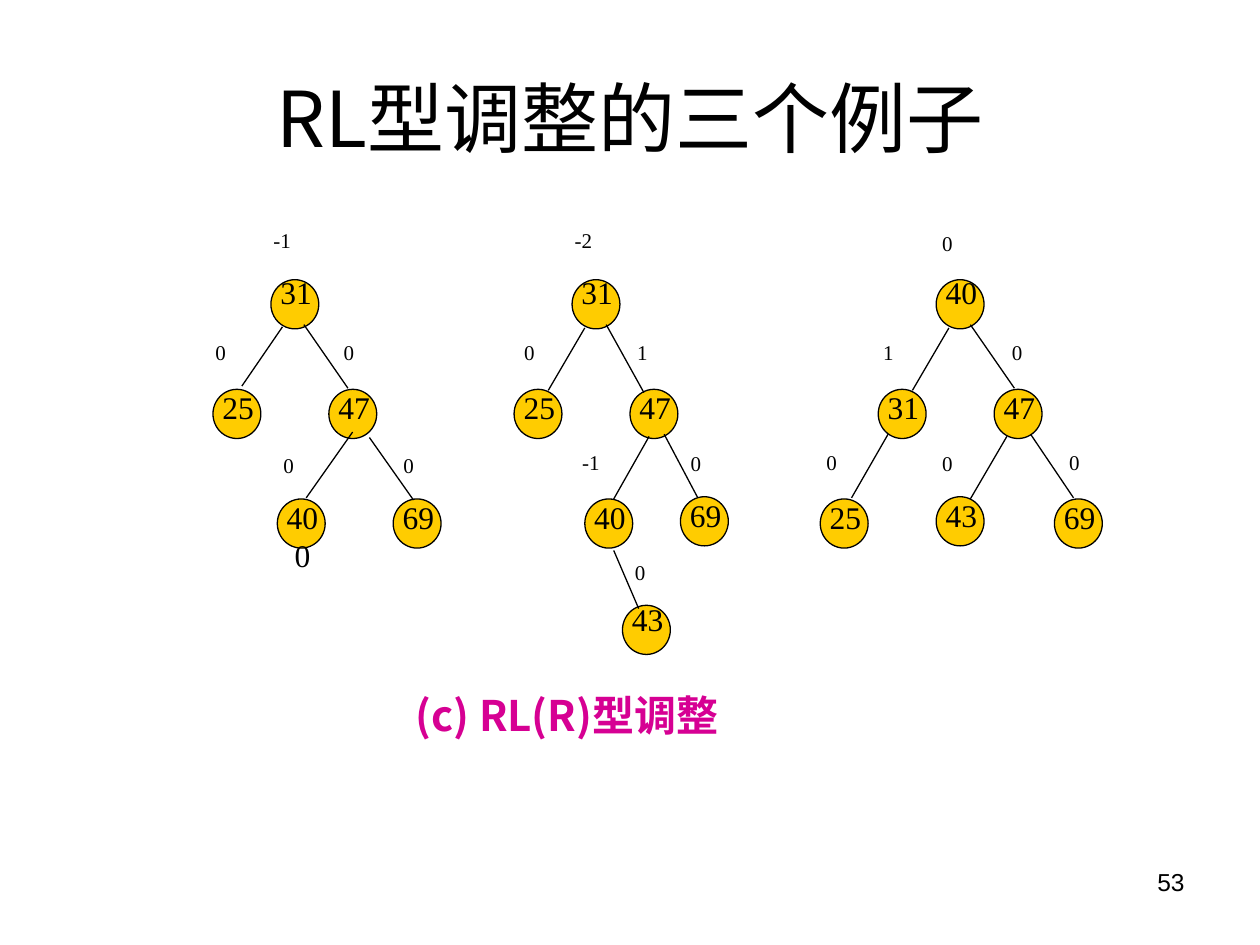
from dataclasses import dataclass
from typing import Optional

from lxml.etree import SubElement
from pptx import Presentation
from pptx.dml.color import RGBColor
from pptx.enum.shapes import MSO_CONNECTOR as Connector, MSO_SHAPE as Shape
from pptx.enum.text import MSO_ANCHOR as Anchor, PP_ALIGN as Align
from pptx.oxml.ns import qn
from pptx.util import Inches, Pt

COL, ROW = 0.46, 0.87  # pitch of the tree grid, inches
NODE_W, NODE_H = 0.38, 0.39
SERIF = "Times New Roman"
BLACK, GOLD, MAGENTA = "000000", "FFCC00", "D60093"


@dataclass
class Node:
    """A tree node; lengths are columns and rows from the root's corner."""
    key: str
    balance: str
    col: float
    row: float
    label_shift: float  # columns from the node to its balance label
    edge: Optional[tuple[float, float, float, float]] = None
    key_lift: float = 0.01
    label_lift: float = 0.51


@dataclass
class Tree:
    left: float
    top: float
    nodes: list[Node]

    def x(self, col: float) -> float:
        return self.left + col * COL

    def y(self, row: float) -> float:
        return self.top + row * ROW


TREES = [
    Tree(2.15, 2.22, [
        Node("31", "-1", 0, 0, -0.17, key_lift=0.06, label_lift=0.53),
        Node("25", "0", -1, 1, -0.17, (0.2, 0.43, -0.5, 0.97)),
        Node("47", "0", 1, 1, 0.04, (0.57, 0.41, 1.33, 0.99)),
        Node("400", "0", 0.11, 2, -0.11, (1.41, 1.39, 0.61, 1.99), label_lift=0.48),
        Node("69", "0", 2.11, 2, -0.04, (1.7, 1.44, 2.46, 2.01), label_lift=0.48),
    ]),
    Tree(4.54, 2.22, [
        Node("31", "-2", 0, 0, -0.17, key_lift=0.06, label_lift=0.53),
        Node("25", "0", -1, 1, -0.04, (0.22, 0.44, -0.41, 1.01)),
        Node("47", "1", 1, 1, -0.09, (0.59, 0.41, 1.24, 1.03)),
        Node("40", "-1", 0.22, 2, -0.26, (1.33, 1.43, 0.72, 2)),
        Node("69", "0", 1.87, 1.98, -0.04, (1.59, 1.41, 2.17, 1.99), label_lift=0.48),
        Node("43", "0", 0.87, 2.97, 0, (0.72, 2.47, 1.15, 3), 0.05, 0.47),
    ]),
    Tree(7.43, 2.22, [
        Node("40", "0", 0, 0, -0.11, key_lift=0.06),
        Node("31", "1", -1, 1, -0.13, (0.22, 0.44, -0.41, 1.01)),
        Node("47", "0", 1, 1, 0.09, (0.59, 0.41, 1.35, 0.99)),
        Node("25", "0", -2, 2, -0.11, (-0.83, 1.41, -1.46, 1.99)),
        Node("43", "0", 0, 1.98, -0.11, (1.22, 1.43, 0.59, 2), label_lift=0.48),
        Node("69", "0", 2.04, 2, 0.04, (1.63, 1.41, 2.37, 1.99)),
    ]),
]


def color(value: str) -> RGBColor:
    return RGBColor.from_string(value)


def add_text(slide, text: str, left: float, top: float, width: float, height: float,
             size: float, font: str = SERIF, ink: str = BLACK, align=Align.LEFT,
             bold: bool = False, anchor=Anchor.TOP, tight: bool = False) -> None:
    sp = slide.shapes.add_textbox(Inches(left), Inches(top), Inches(width), Inches(height))
    tf = sp.text_frame
    tf.word_wrap = True
    tf.vertical_anchor = anchor
    if tight:
        tf.margin_left = tf.margin_right = tf.margin_top = 0
        tf.margin_bottom = Inches(0.04)
    p = tf.paragraphs[0]
    p.text = text
    p.alignment = align
    p.font.size, p.font.name, p.font.bold = Pt(size), font, bold
    p.font.color.rgb = color(ink)
    east_asian = SubElement(p.font._element, qn("a:ea"))
    east_asian.set("typeface", font)


def add_circle(slide, tree: Tree, node: Node) -> None:
    sp = slide.shapes.add_shape(Shape.OVAL, Inches(tree.x(node.col)), Inches(tree.y(node.row)),
                                Inches(NODE_W), Inches(NODE_H))
    sp.shadow.inherit = False
    sp.fill.solid()
    sp.fill.fore_color.rgb = color(GOLD)
    sp.line.color.rgb = color(BLACK)
    sp.line.width = Pt(0.75)


def add_edge(slide, tree: Tree, node: Node) -> None:
    x1, y1, x2, y2 = node.edge
    line = slide.shapes.add_connector(Connector.STRAIGHT,
                                      Inches(tree.x(x1)), Inches(tree.y(y1)),
                                      Inches(tree.x(x2)), Inches(tree.y(y2)))
    line.line.color.rgb = color(BLACK)
    line.line.width = Pt(0.75)
    SubElement(line._element.spPr, qn("a:effectLst"))


def add_tree(slide, tree: Tree) -> None:
    for node in tree.nodes:
        add_circle(slide, tree, node)
    for node in tree.nodes:
        if node.edge:
            add_edge(slide, tree, node)
        add_text(slide, node.key, tree.x(node.col) + 0.04, tree.y(node.row - node.key_lift),
                 0.32, 0.45, 18, align=Align.CENTER, tight=True)
        add_text(slide, node.balance, tree.x(node.col + node.label_shift),
                 tree.y(node.row - node.label_lift), 0.65, 0.65, 12)


def main() -> None:
    prs = Presentation()
    prs.slide_width, prs.slide_height = Inches(10), Inches(7.5)
    slide = prs.slides.add_slide(prs.slide_layouts[6])
    add_text(slide, "53", 7.17, 6.83, 2.33, 0.52, 14, "Arial", align=Align.RIGHT)
    add_text(slide, "RL型调整的三个例子", 0.5, 0.3, 9, 1.25, 44, "Noto Sans CJK JP",
             align=Align.CENTER, anchor=Anchor.MIDDLE)
    add_text(slide, "(c) RL(R)型调整", 3.2, 5.42, 4.55, 0.7, 24, "Noto Sans CJK SC",
             MAGENTA, bold=True)
    for tree in TREES:
        add_tree(slide, tree)
    prs.save("out.pptx")


if __name__ == "__main__":
    main()
